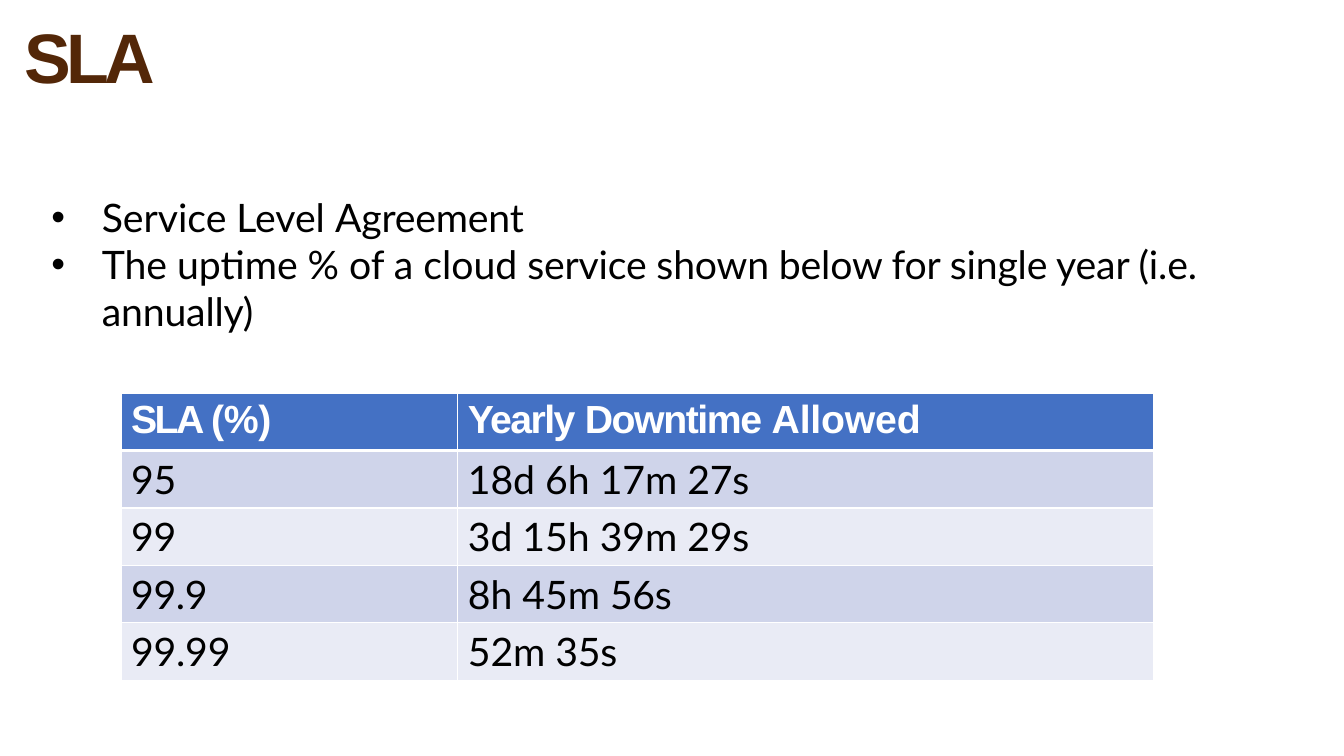
from dataclasses import dataclass

from lxml import etree
from pptx import Presentation
from pptx.dml.color import RGBColor
from pptx.enum.text import MSO_ANCHOR, MSO_AUTO_SIZE, PP_ALIGN
from pptx.oxml.ns import qn
from pptx.util import Pt

PX = 9144
TOP, LEFT, GROW = MSO_ANCHOR.TOP, PP_ALIGN.LEFT, MSO_AUTO_SIZE.SHAPE_TO_FIT_TEXT
BLACK, WHITE, BROWN = "000000", "FFFFFF", "532708"
BLUE, BANDS = "4471C4", ("CFD4EA", "E9EBF5")


@dataclass
class Run:
    text: str
    gap: int = 0


@dataclass
class Style:
    font: str
    size: int
    color: str
    bold: bool = False


HEAD = Style("Arial", 50, BROWN, True)
BODY = Style("Lato", 28, BLACK)
LABEL = Style("Arial", 28, WHITE, True)

BULLETS = [
    [Run("Service Level "), Run("Agreement", -10)],
    [Run("The uptime % of a cloud "),
     Run("service shown below for single year (i.e. annually)", -10)],
]
ROWS = [
    [[Run("SLA ", -180), Run("(%)", -20)],
     [Run("Yearly ", -110), Run("Downtime ", -100), Run("Allowed", -10)]],
    [[Run("95", -20)], [Run("18d 6h 17m "), Run("27s", -20)]],
    [[Run("99", -20)], [Run("3d 15h 39m "), Run("29s", -20)]],
    [[Run("99.9", -20)], [Run("8h 45m "), Run("56s", -20)]],
    [[Run("99.99", -10)], [Run("52m "), Run("35s", -20)]],
]
COLS = (334, 690)
ROW = 57


def px(n: int) -> int:
    return n * PX


def rgb(code: str) -> RGBColor:
    return RGBColor.from_string(code)


def write(para, runs: list[Run], style: Style, before: float = 0,
          indent: int = 0, hang: int = 0) -> None:
    para.alignment = LEFT
    para.space_before = Pt(before)
    props = para._p.get_or_add_pPr()
    props.set("marL", str(px(indent)))
    props.set("indent", str(px(-hang)))
    if hang:
        face = etree.SubElement(props, qn("a:buFont"))
        face.set("typeface", "Arial")
        etree.SubElement(props, qn("a:buChar")).set("char", "•")
    font = para.font
    font.name, font.size, font.bold = style.font, Pt(style.size), style.bold
    font.color.rgb = rgb(style.color)
    for item in runs:
        run = para.add_run()
        run.text = item.text
        run._r.get_or_add_rPr().set("spc", str(item.gap))


def place(shape, left: int, top: int, width: int, height: int):
    shape.left, shape.top = px(left), px(top)
    shape.width, shape.height = px(width), px(height)
    frame = shape.text_frame
    frame.margin_left = frame.margin_right = frame.margin_bottom = 0
    frame.margin_top = px(1)
    frame.word_wrap = True
    frame.vertical_anchor = TOP
    frame.auto_size = GROW
    return frame


def edge(cell, side: str, width: int) -> None:
    line = etree.Element(qn(f"a:{side}"), w=str(Pt(width)))
    fill = etree.SubElement(line, qn("a:solidFill"))
    etree.SubElement(fill, qn("a:srgbClr")).set("val", WHITE)
    props = cell._tc.get_or_add_tcPr()
    props.insert(len(props) - 1, line)


def draw_cell(cell, runs: list[Run], row: int) -> None:
    cell.margin_left = cell.margin_right = cell.margin_bottom = 0
    cell.margin_top = px(5)
    cell.vertical_anchor = TOP
    cell.fill.solid()
    cell.fill.fore_color.rgb = rgb(BANDS[(row - 1) % 2] if row else BLUE)
    edge(cell, "lnL", 1)
    edge(cell, "lnR", 1)
    edge(cell, "lnT", 3 if row == 1 else 1)
    edge(cell, "lnB", 1 if row else 3)
    write(cell.text_frame.paragraphs[0], runs, BODY if row else LABEL, 3.5, 10)


def draw_table(slide) -> None:
    shape = slide.shapes.add_table(len(ROWS), len(COLS), px(120), px(390),
                                   px(sum(COLS)), px(ROW * len(ROWS)))
    table = shape.table
    table.horz_banding = False
    for col, width in zip(table.columns, COLS):
        col.width = px(width)
    for r, cells in enumerate(ROWS):
        for c, runs in enumerate(cells):
            draw_cell(table.cell(r, c), runs, r)


def main() -> None:
    deck = Presentation()
    deck.slide_width, deck.slide_height = px(1333), px(750)
    slide = deck.slides.add_slide(deck.slide_layouts[5])

    title = place(slide.shapes.title, 23, 12, 1202, 177)
    write(title.paragraphs[0], [Run("SLA", -320)], HEAD, 1, 1)

    box = slide.shapes.add_textbox(0, 0, 0, 0)
    body = place(box, 50, 191, 1192, 143)
    for i, runs in enumerate(BULLETS):
        para = body.add_paragraph() if i else body.paragraphs[0]
        write(para, runs, BODY, 0 if i else 0.9, 51, 50)

    draw_table(slide)
    deck.save("out.pptx")


if __name__ == "__main__":
    main()
